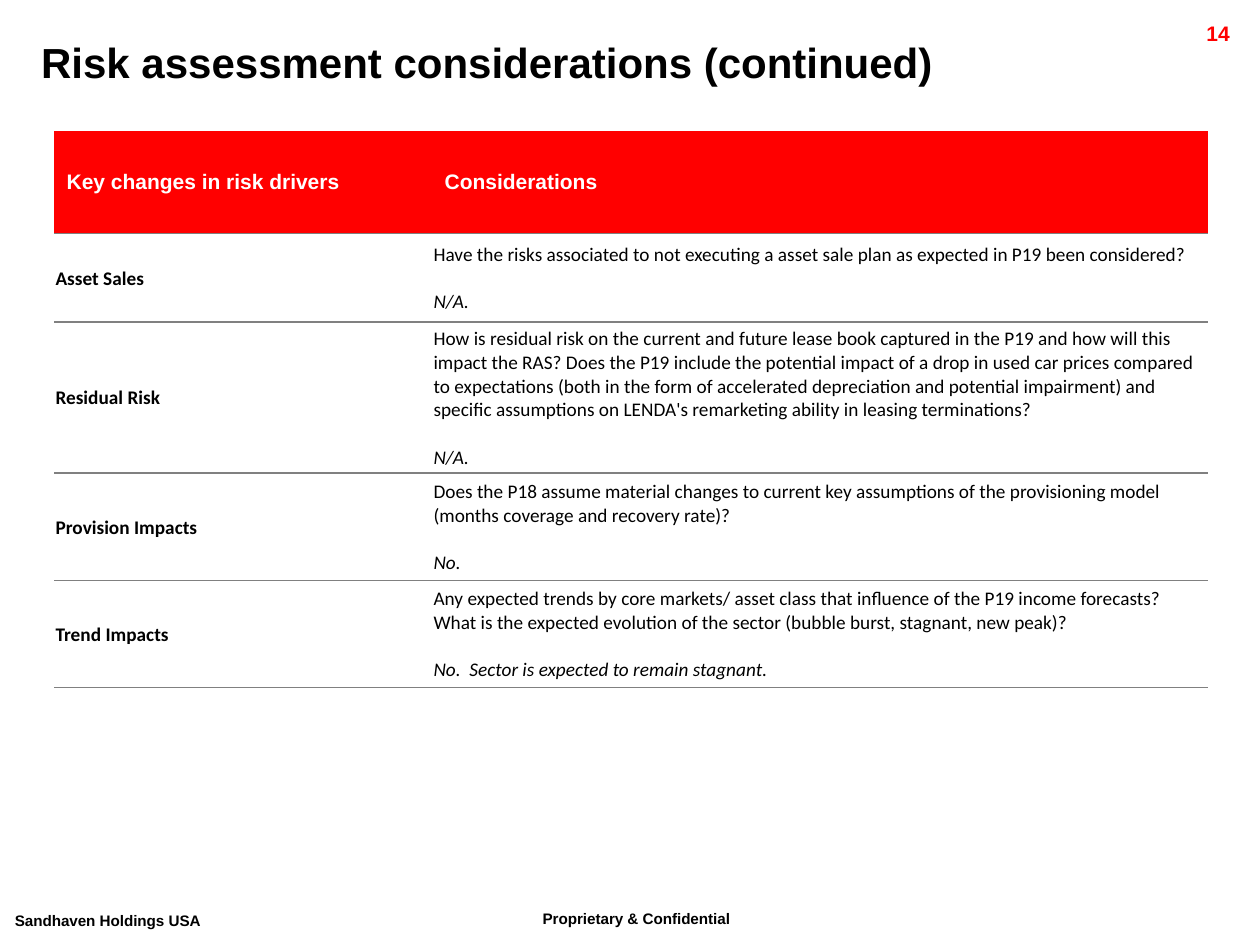
from dataclasses import dataclass

from lxml.etree import SubElement
from pptx import Presentation
from pptx.dml.color import RGBColor
from pptx.enum.text import MSO_ANCHOR, PP_ALIGN
from pptx.oxml.ns import qn
from pptx.util import Cm, Pt


@dataclass(frozen=True)
class Theme:
    heading_font: str = "Arial"
    body_font: str = "Calibri"
    black: str = "000000"
    white: str = "FFFFFF"
    red: str = "FF0000"
    grey: str = "808080"
    title_size: float = 24
    header_size: float = 12
    body_size: float = 11
    footer_size: float = 15
    answer_gap: float = 13.4
    rule_width: float = 1


def write(para, text, *, font, size, color, bold=False, italic=False,
          align=PP_ALIGN.LEFT, before=0, baseline=None):
    para.alignment = align
    if before:
        para.space_before = Pt(before)
    span = para.add_run()
    span.text = text
    span.font.name = font
    span.font.size = Pt(size)
    span.font.bold = bold
    span.font.italic = italic
    span.font.color.rgb = RGBColor.from_string(color)
    if baseline:
        span.font._element.set("baseline", str(baseline * 1000))


class PageBuilder:
    def __init__(self, page, theme):
        self.page = page
        self.theme = theme

    def label(self, text, left, top, width, height, size, **style):
        box = self.page.shapes.add_textbox(Cm(left), Cm(top), Cm(width), Cm(height))
        box.text_frame.word_wrap = True
        style = {"color": self.theme.black, **style}
        write(box.text_frame.paragraphs[0], text,
              font=self.theme.heading_font, size=size, bold=True, **style)

    def footer(self, text, left, top, width):
        self.label(text, left, top, width, 0.89, self.theme.footer_size, baseline=30)

    def borders(self, cell, ruled_sides):
        properties = cell._tc.get_or_add_tcPr()
        for side in "LRTB":
            line = SubElement(properties, qn(f"a:ln{side}"))
            if side in ruled_sides:
                line.set("w", str(Pt(self.theme.rule_width)))
                fill = SubElement(line, qn("a:solidFill"))
                SubElement(fill, qn("a:srgbClr"), val=self.theme.grey)
            else:
                SubElement(line, qn("a:noFill"))

    def header_cell(self, cell, text):
        theme = self.theme
        self.borders(cell, "B")
        cell.fill.solid()
        cell.fill.fore_color.rgb = RGBColor.from_string(theme.red)
        cell.vertical_anchor = MSO_ANCHOR.MIDDLE
        write(cell.text_frame.paragraphs[0], text, font=theme.heading_font,
              size=theme.header_size, color=theme.white, bold=True)

    def body_cell(self, cell, text, answer=None, bold=False):
        theme = self.theme
        self.borders(cell, "TB")
        cell.fill.background()
        cell.vertical_anchor = MSO_ANCHOR.MIDDLE
        cell.margin_left = cell.margin_right = cell.margin_top = Cm(0.03)
        cell.margin_bottom = Cm(0)
        style = {"font": theme.body_font, "size": theme.body_size, "color": theme.black}
        write(cell.text_frame.paragraphs[0], text, bold=bold, **style)
        if answer:
            write(cell.text_frame.add_paragraph(), answer, italic=True,
                  before=theme.answer_gap, **style)

    def table(self, headers, entries, left, top, widths, heights):
        table = self.page.shapes.add_table(
            len(heights), len(widths), Cm(left), Cm(top),
            Cm(sum(widths)), Cm(sum(heights))).table
        table.horz_banding = False
        for column, width in zip(table.columns, widths):
            column.width = Cm(width)
        for row, height in zip(table.rows, heights):
            row.height = Cm(height)
        for column, header in enumerate(headers):
            self.header_cell(table.cell(0, column), header)
        for row, (driver, question, answer) in enumerate(entries, start=1):
            self.body_cell(table.cell(row, 0), driver, bold=True)
            self.body_cell(table.cell(row, 1), question, answer)


HEADERS = ["Key changes in risk drivers", "Considerations"]
CONSIDERATIONS = [
    ("Asset Sales",
     "Have the risks associated to not executing a asset sale plan as expected "
     "in P19 been considered?",
     "N/A."),
    ("Residual Risk",
     "How is residual risk on the current and future lease book captured in the P19 "
     "and how will this impact the RAS? Does the P19 include the potential impact of "
     "a drop in used car prices compared to expectations (both in the form of "
     "accelerated depreciation and potential impairment) and specific assumptions on "
     "LENDA's remarketing ability in leasing terminations?",
     "N/A."),
    ("Provision Impacts",
     "Does the P18 assume material changes to current key assumptions of the "
     "provisioning model (months coverage and recovery rate)?",
     "No."),
    ("Trend Impacts",
     "Any expected trends by core markets/ asset class that influence of the P19 "
     "income forecasts? What is the expected evolution of the sector (bubble burst, "
     "stagnant, new peak)?",
     "No.  Sector is expected to remain stagnant."),
]


def main():
    deck = Presentation()
    deck.slide_width, deck.slide_height = Cm(25.4), Cm(19.05)
    theme = Theme()
    builder = PageBuilder(deck.slides.add_slide(deck.slide_layouts[6]), theme)
    builder.footer("Proprietary & Confidential", 10.69, 18.14, 5.54)
    builder.footer("Sandhaven Holdings USA", 0.05, 18.19, 4.85)
    builder.label("14", 22.63, 0.28, 2.41, 0.61, theme.header_size,
                  color=theme.red, align=PP_ALIGN.RIGHT)
    builder.label("Risk assessment considerations (continued)",
                  0.58, 0.61, 24.8, 1.27, theme.title_size)
    builder.table(HEADERS, CONSIDERATIONS, 1.09, 2.65,
                  widths=[7.62, 15.64], heights=[2.06, 1.78, 3.05, 2.16, 2.16])
    deck.save("out.pptx")


if __name__ == "__main__":
    main()
